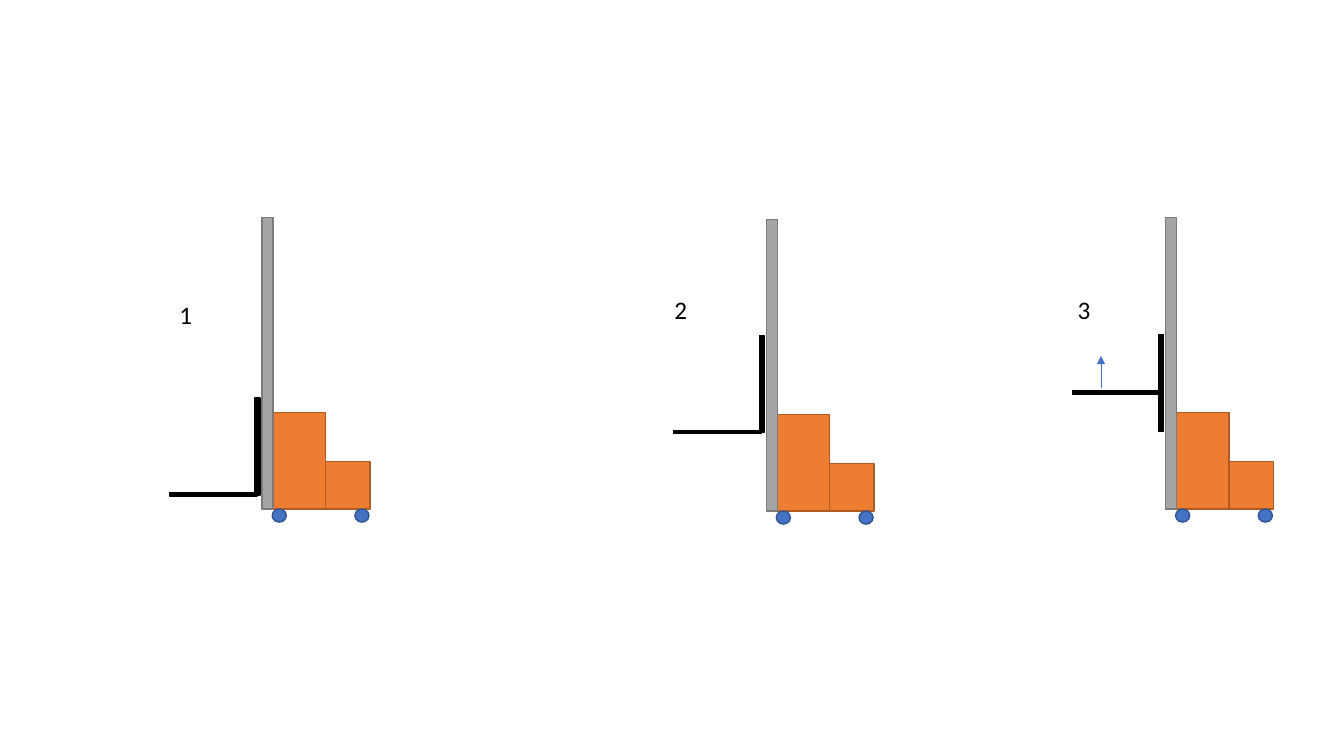
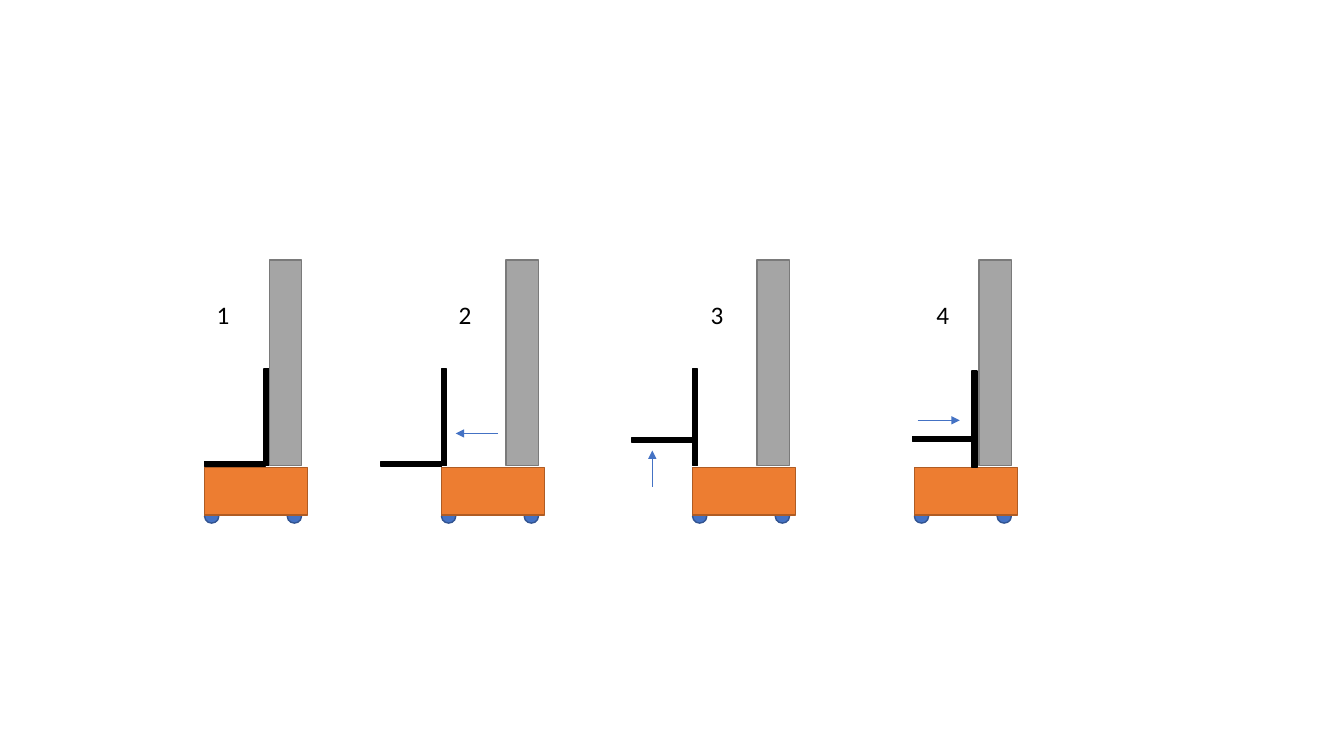
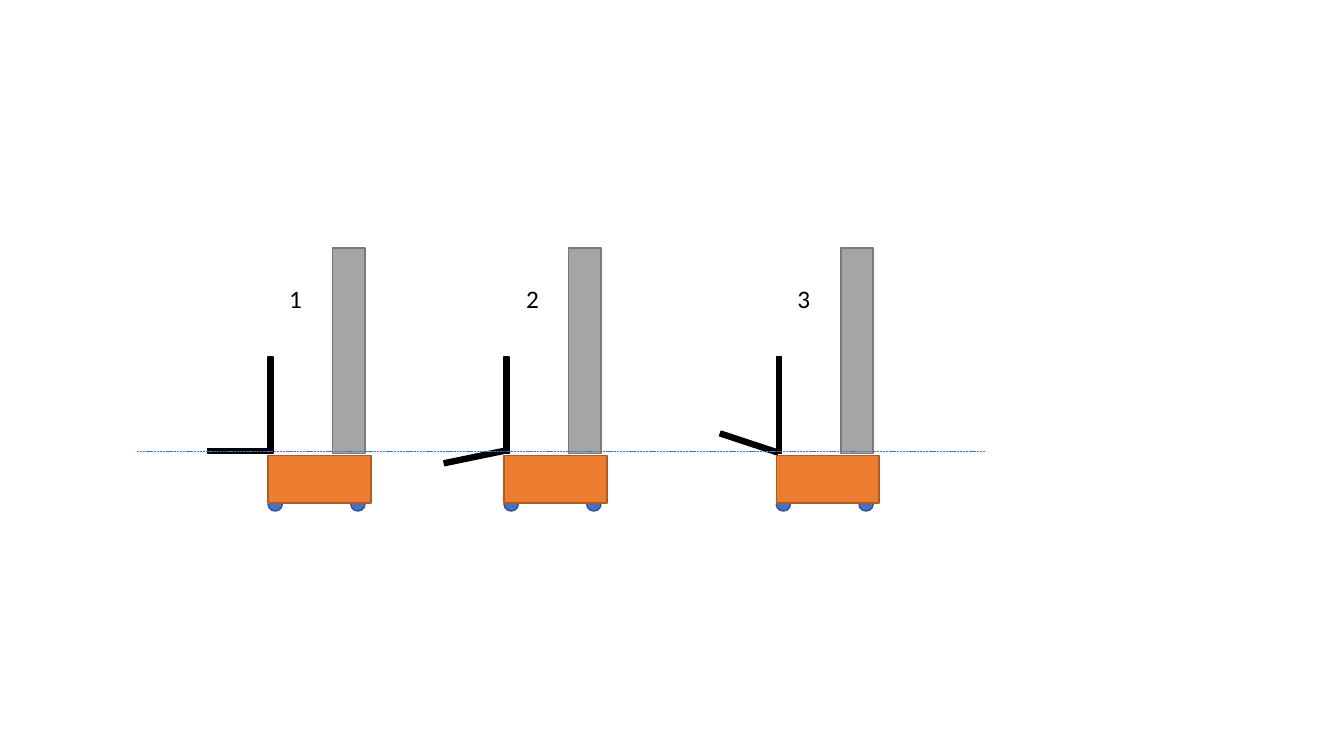
import pptx
import pptx.util
import pptx.dml.color
import pptx.enum.dml
import pptx.enum.shapes
import pptx.enum.text
import pptx.oxml.ns
import lxml.etree

RGBColor = pptx.dml.color.RGBColor
ORANGE, ORANGE_EDGE = RGBColor(0xED, 0x7D, 0x31), RGBColor(0xAF, 0x5C, 0x24)
BLUE, BLUE_EDGE = RGBColor(0x44, 0x72, 0xC4), RGBColor(0x32, 0x54, 0x91)
GREY, GREY_EDGE = RGBColor(0xA5, 0xA5, 0xA5), RGBColor(0x7A, 0x7A, 0x7A)
BLACK = RGBColor(0, 0, 0)

RECT = pptx.enum.shapes.MSO_SHAPE.RECTANGLE
OVAL = pptx.enum.shapes.MSO_SHAPE.OVAL

# Kinds of part: outline, fill and edge
BODY = (RECT, ORANGE, ORANGE_EDGE)
MAST = (RECT, GREY, GREY_EDGE)
FORK = (RECT, BLACK, BLACK)
WHEEL = (OVAL, BLUE, BLUE_EDGE)

# Grid of columns and rows
deck = pptx.Presentation()
deck.slide_width = pptx.util.Inches(13.33)
deck.slide_height = pptx.util.Inches(7.5)
COL = deck.slide_width / 13.33
ROW = deck.slide_height / 7.5


def add_part(slide, kind, left, top, width, height, rotation=0):
    outline, fill, edge = kind
    part = slide.shapes.add_shape(
        outline, round(left * COL), round(top * ROW), round(width * COL), round(height * ROW))
    part.shadow.inherit = False
    part.fill.solid()
    part.fill.fore_color.rgb = fill
    part.line.color.rgb = edge
    part.line.width = pptx.util.Pt(1)
    part.rotation = rotation


def add_text(slide, text, left, top, width=0.33, height=0.4, size=18, font="Calibri", color=BLACK):
    label = slide.shapes.add_textbox(
        round(left * COL), round(top * ROW), round(width * COL), round(height * ROW))
    label.text_frame.word_wrap = False
    label.text_frame.auto_size = pptx.enum.text.MSO_AUTO_SIZE.SHAPE_TO_FIT_TEXT
    run = label.text_frame.paragraphs[0].add_run()
    run.text = text
    run.font.size = pptx.util.Pt(size)
    run.font.name = font
    run.font.color.rgb = color


blank = deck.slide_layouts[6]
lift_slide, reach_slide, tilt_slide = [deck.slides.add_slide(blank) for _ in range(3)]

# Lifting: mast left, ground, fork top, carriage top, number left and top
lift_steps = [
    (2.6, 5.05, 4.89, 3.95, 1.68, 2.92),
    (7.6, 5.07, 4.27, 3.33, 6.59, 2.87),
    (11.56, 5.05, 3.88, 3.32, 10.59, 2.87),
]
for step, (mast, ground, fork, carriage, number_left, number_top) in enumerate(lift_steps, 1):
    add_part(lift_slide, FORK, mast - 0.92, fork, 0.87, 0.03)
    add_part(lift_slide, BODY, mast + 0.1, ground - 0.96, 0.53, 0.96)
    add_part(lift_slide, BODY, mast + 0.63, ground - 0.47, 0.44, 0.47)
    for wheel in (0.1, 0.92):
        add_part(lift_slide, WHEEL, mast + wheel, ground, 0.14, 0.13)
    add_part(lift_slide, FORK, mast - 0.07, carriage, 0.05, 0.96)
    add_part(lift_slide, MAST, mast, ground - 2.89, 0.11, 2.89)
    add_text(lift_slide, str(step), number_left, number_top)

# Reaching and tilting: chassis left, then offsets from the chassis corner:
# fork left, top and rotation, carriage left and top, number left
reach_steps = [
    (2.03, 0, -0.06, 0, 0.59, -0.98, 0.02),
    (4.38, -0.6, -0.06, 0, 0, -0.98, 0.07),
    (6.87, -0.6, -0.3, 0, 0, -0.98, 0.08),
    (9.07, -0.02, -0.31, 0, 0.57, -0.96, 0.12),
]
tilt_steps = [
    (2.66, -0.6, -0.07, 0, 0, -0.98, 0.11),
    (5, -0.6, -0.01, 348.3, 0, -0.98, 0.12),
    (7.7, -0.57, -0.15, 18.3, 0, -0.98, 0.11),
]
for slide, deck_top, number_top, steps in [
    (reach_slide, 4.64, 2.92, reach_steps),
    (tilt_slide, 4.52, 2.76, tilt_steps),
]:
    for step, (left, fork_x, fork_y, angle, carriage_x, carriage_y, number_x) in enumerate(steps, 1):
        for wheel in (0.82, 0):
            add_part(slide, WHEEL, left + wheel, deck_top + 0.42, 0.14, 0.13)
        add_part(slide, FORK, left + fork_x, deck_top + fork_y, 0.6, 0.05, angle)
        add_part(slide, BODY, left, deck_top, 1.02, 0.47)
        add_part(slide, FORK, left + carriage_x, deck_top + carriage_y, 0.05, 0.96)
        add_part(slide, MAST, left + 0.64, deck_top - 2.06, 0.32, 2.04)
        add_text(slide, str(step), left + number_x, number_top)

# Movement arrows and the dashed level line
for slide, start_x, start_y, end_x, end_y, is_arrow in [
    (lift_slide, 10.92, 3.85, 10.92, 3.53, True),
    (reach_slide, 4.94, 4.3, 4.52, 4.3, True),
    (reach_slide, 6.47, 4.83, 6.47, 4.47, True),
    (reach_slide, 9.1, 4.17, 9.52, 4.17, True),
    (tilt_slide, 9.77, 4.48, 1.36, 4.48, False),
]:
    motion = slide.shapes.add_connector(
        pptx.enum.shapes.MSO_CONNECTOR.STRAIGHT,
        round(start_x * COL), round(start_y * ROW), round(end_x * COL), round(end_y * ROW))
    motion.line.color.rgb = BLUE
    motion.line.width = pptx.util.Pt(0.5)
    if is_arrow:
        lxml.etree.SubElement(
            motion.line._get_or_add_ln(), pptx.oxml.ns.qn("a:tailEnd"), type="triangle")
    else:
        motion.line.dash_style = pptx.enum.dml.MSO_LINE.SQUARE_DOT
    lxml.etree.SubElement(motion._element.spPr, pptx.oxml.ns.qn("a:effectLst"))

deck.save("out.pptx")
